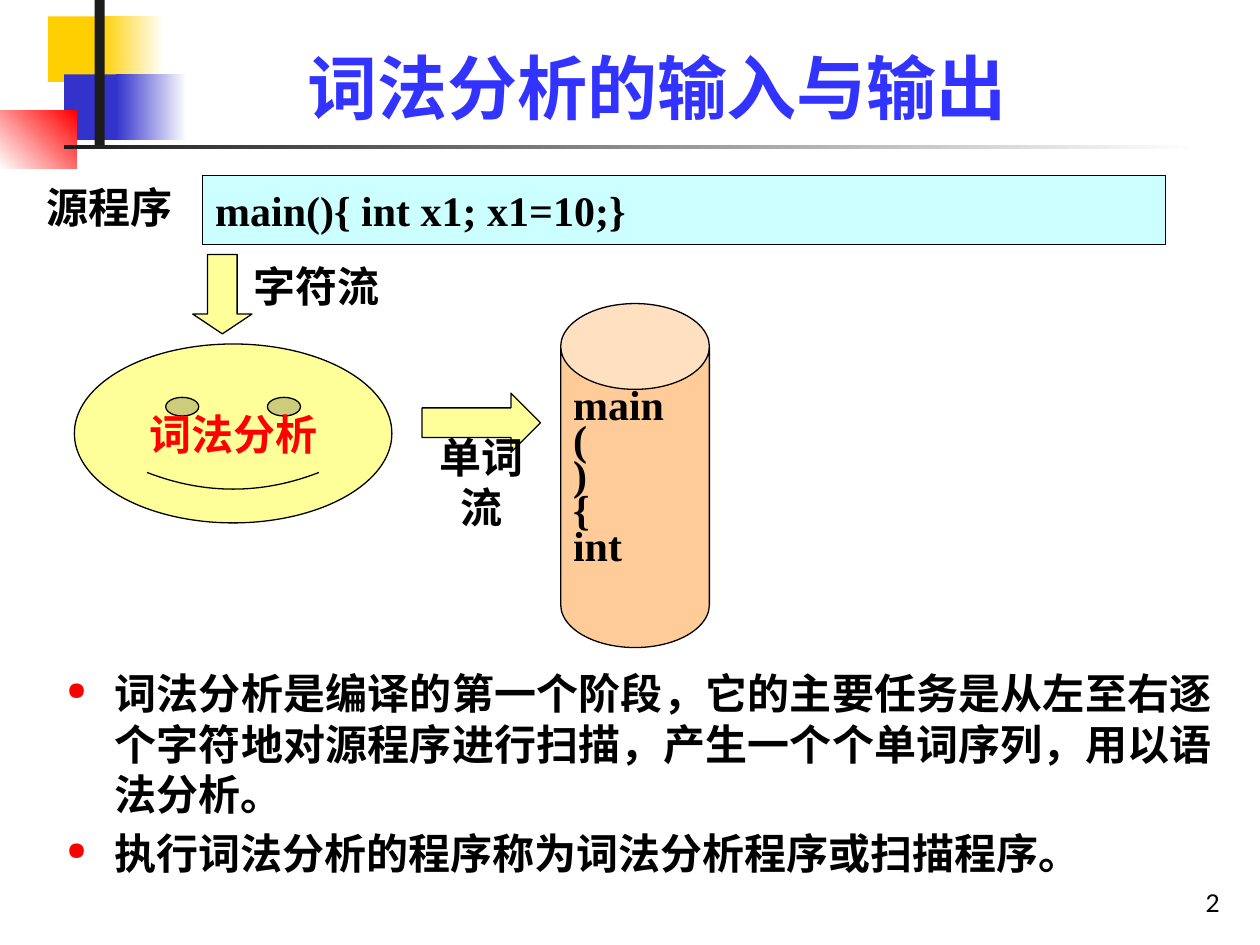
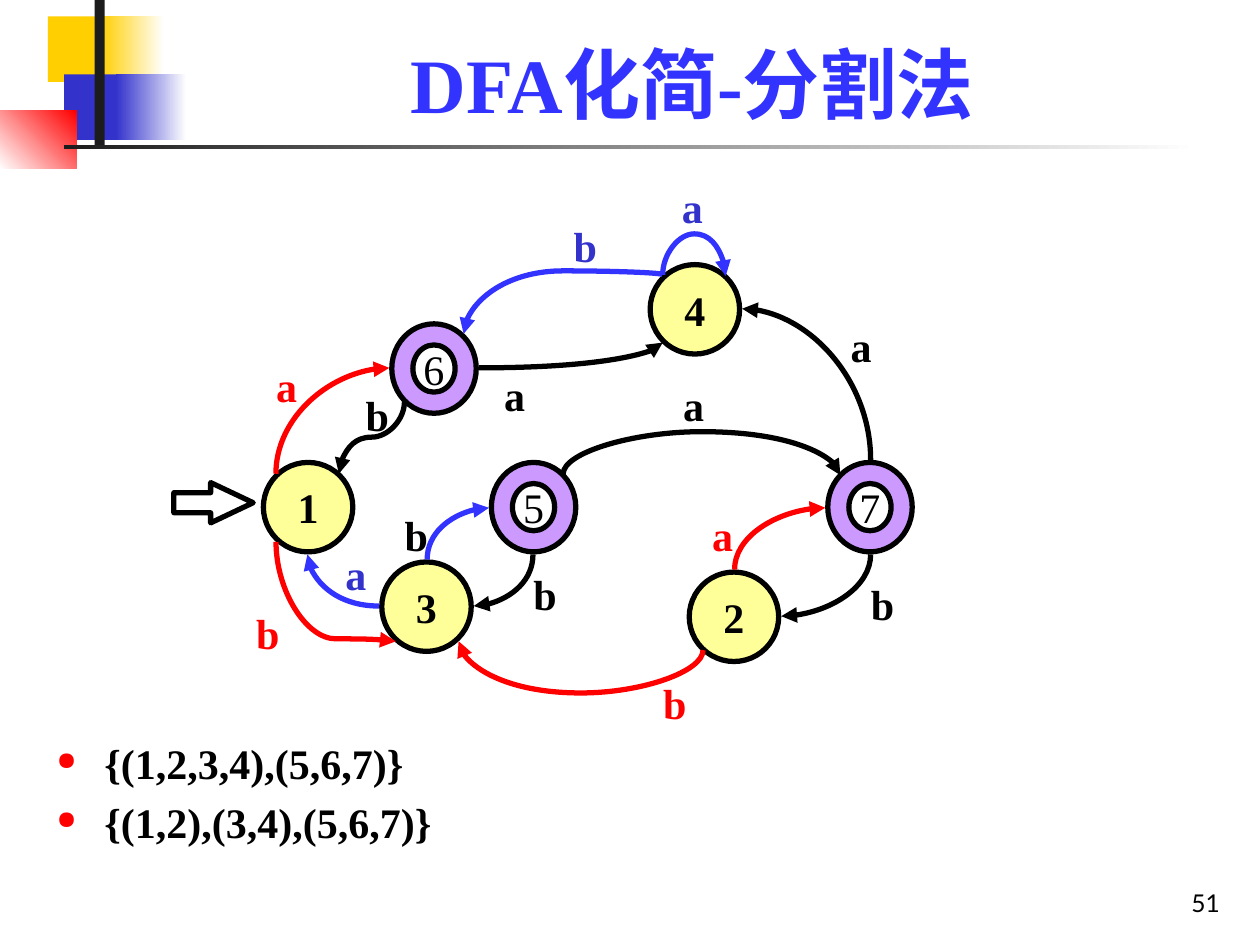
from dataclasses import dataclass, field

import lxml.etree
import pptx
import pptx.dml.color
import pptx.enum.lang
import pptx.enum.shapes
import pptx.enum.text
import pptx.oxml.ns
import pptx.slide
import pptx.util

SCALE = 9144  # EMU in one px, 100 px to the inch
KIND = pptx.enum.shapes.MSO_SHAPE
ALIGN = pptx.enum.text.PP_ALIGN
ANCHOR = pptx.enum.text.MSO_ANCHOR
CHINESE = pptx.enum.lang.MSO_LANGUAGE_ID.SIMPLIFIED_CHINESE
qn = pptx.oxml.ns.qn

BLACK, WHITE, RED = "000000", "FFFFFF", "FF0000"
GOLD, NAVY, BLUE, DARK = "FFCF01", "3333CC", "3333FF", "1C1C1C"
YELLOW, LILAC, CYAN, PEACH = "FFFF99", "CC99FF", "CCFFFF", "FFCC99"

Box = tuple[int, int, int, int]
Point = tuple[int, int]


@dataclass
class Words:
    lines: list[str]
    color: str = BLACK
    size: int = 24
    bold: bool = True
    face: str = "Times New Roman"
    align: ALIGN = ALIGN.CENTER
    anchor: ANCHOR = ANCHOR.MIDDLE
    wrap: bool = True
    lead: float | None = None
    foot: int = 5
    bullet: bool = False


@dataclass
class Item:
    """A preset shape, or a text box when kind is None."""
    box: Box
    kind: KIND | None = None
    fill: str | tuple[str, str] | None = None
    words: Words | None = None
    width: float = 0
    adjust: list[float] = field(default_factory=list)
    angle: int = 0


@dataclass
class Arc:
    """A curved arrow; via is the y of its middle leg, None for one bend."""
    start: Point
    end: Point
    color: str
    turn: int
    flip: str = ""
    via: int | None = None


def px(value: float) -> pptx.util.Emu:
    return pptx.util.Emu(round(value * SCALE))


def rgb(code: str) -> pptx.dml.color.RGBColor:
    return pptx.dml.color.RGBColor.from_string(code)


def put(target, values: dict) -> None:
    for name, value in values.items():
        setattr(target, name, value)


def add(parent, tag: str, **attrs: str):
    node = lxml.etree.SubElement(parent, qn(tag))
    for name, value in attrs.items():
        node.set(name, value)
    return node


def dot(para) -> None:
    """Give a paragraph a red hanging bullet."""
    props = para._p.get_or_add_pPr()
    props.set("marL", str(px(38)))
    props.set("indent", str(px(-38)))
    add(add(props, "a:buClr"), "a:srgbClr", val=RED)
    add(props, "a:buSzPct", val="60000")
    add(props, "a:buChar", char="●")


def write(shape, words: Words) -> None:
    frame = shape.text_frame
    put(frame, {
        "word_wrap": words.wrap, "vertical_anchor": words.anchor,
        "margin_left": px(10), "margin_right": px(10),
        "margin_top": px(5), "margin_bottom": px(words.foot),
    })
    for i, line in enumerate(words.lines):
        para = frame.add_paragraph() if i else frame.paragraphs[0]
        put(para, {"alignment": words.align, "line_spacing": words.lead})
        if words.bullet:
            dot(para)
            if i:
                para.space_before = pptx.util.Pt(5)
        run = para.add_run()
        run.text = line
        put(run.font, {
            "name": words.face, "size": pptx.util.Pt(words.size),
            "bold": words.bold, "language_id": CHINESE,
        })
        run.font.color.rgb = rgb(words.color)


def paint(shape, item: Item) -> None:
    shape.shadow.inherit = False
    if item.fill is None:
        shape.fill.background()
    elif isinstance(item.fill, str):
        shape.fill.solid()
        shape.fill.fore_color.rgb = rgb(item.fill)
    else:
        shape.fill.gradient()
        shape.fill.gradient_angle = item.angle
        for stop, code, place in zip(shape.fill.gradient_stops, item.fill, (0, 1)):
            stop.color.rgb = rgb(code)
            stop.position = place
    if item.width:
        shape.line.color.rgb = rgb(BLACK)
        shape.line.width = pptx.util.Pt(item.width)
    else:
        shape.line.fill.background()
    for i, value in enumerate(item.adjust):
        shape.adjustments[i] = value


def draw(slide: pptx.slide.Slide, items: list[Item]) -> None:
    for item in items:
        place = [px(v) for v in item.box]
        if item.kind is None:
            shape = slide.shapes.add_textbox(*place)
        else:
            shape = slide.shapes.add_shape(item.kind, *place)
            paint(shape, item)
        if item.words:
            write(shape, item.words)


def bend(slide: pptx.slide.Slide, arc: Arc) -> None:
    """Draw a curved arrow, its frame turned about its centre."""
    (x1, y1), (x2, y2) = arc.start, arc.end
    wide, high = abs(x2 - x1), abs(y2 - y1)
    if arc.turn in (90, 270):
        wide, high = high, wide
    left, top = (x1 + x2 - wide) / 2, (y1 + y2 - high) / 2
    line = slide.shapes.add_connector(
        pptx.enum.shapes.MSO_CONNECTOR.CURVE,
        px(left), px(top), px(left + wide), px(top + high))
    line.line.color.rgb = rgb(arc.color)
    line.line.width = pptx.util.Pt(3)
    props = line._element.spPr
    frame = props.find(qn("a:xfrm"))
    frame.set("rot", str(arc.turn * 60000))
    for axis in arc.flip:
        frame.set("flip" + axis, "1")
    form = props.find(qn("a:prstGeom"))
    form.set("prst", "curvedConnector2" if arc.via is None else "curvedConnector3")
    if arc.via is not None:
        ratio = round((arc.via - y1) / (y2 - y1) * 100000)
        add(form.find(qn("a:avLst")), "a:gd", name="adj1", fmla=f"val {ratio}")
    add(props.find(qn("a:ln")), "a:tailEnd", type="triangle")
    add(props, "a:effectLst")


BANDS = [
    Item((38, 13, 67, 52), KIND.RECTANGLE, GOLD),
    Item((80, 13, 50, 52), KIND.RECTANGLE, (GOLD, WHITE)),
    Item((51, 59, 64, 52), KIND.RECTANGLE, NAVY),
    Item((92, 59, 56, 52), KIND.RECTANGLE, (NAVY, WHITE)),
    Item((0, 88, 61, 46), KIND.RECTANGLE, (WHITE, RED), angle=45),
    Item((75, 0, 8, 115), KIND.RECTANGLE, DARK),
    Item((51, 115, 900, 3), KIND.RECTANGLE, (DARK, WHITE)),
]


def start(deck, title: str, size: int, wide: int, page: int) -> pptx.slide.Slide:
    """Add a slide with the shared bands, title and page number."""
    slide = deck.slides.add_slide(deck.slide_layouts[6])
    draw(slide, BANDS + [
        Item((770, 683, 208, 50), words=Words(
            [str(page)], size=14, bold=False, face="Lato",
            align=ALIGN.RIGHT, anchor=ANCHOR.BOTTOM)),
        Item((126, 23, wide, 84), words=Words(
            [title], BLUE, size, anchor=ANCHOR.BOTTOM)),
    ])
    return slide


def points(box: Box, lines: list[str], align: ALIGN) -> Item:
    return Item(box, words=Words(lines, align=align, anchor=ANCHOR.TOP, bullet=True))


def label(text: str, box: Box, color: str = BLACK) -> Item:
    return Item(box, words=Words([text], color, wrap=False))


def lexer(deck) -> None:
    slide = start(deck, "词法分析的输入与输出", 40, 791, 2)
    draw(slide, [
        points((43, 525, 929, 189), [
            "词法分析是编译的第一个阶段，它的主要任务是从左至右逐个字符地对源程序进行扫描，"
            "产生一个个单词序列，用以语法分析。",
            "执行词法分析的程序称为词法分析程序或扫描程序。",
        ], ALIGN.JUSTIFY),
        Item((161, 139, 764, 55), KIND.RECTANGLE, CYAN,
             Words(["main(){ int x1; x1=10;}"], align=ALIGN.LEFT), 0.75),
        Item((59, 273, 252, 142), KIND.SMILEY_FACE, YELLOW,
             Words(["词法分析"], RED, wrap=False), 0.75, [0.047]),
        Item((335, 312, 94, 47), KIND.RIGHT_ARROW, YELLOW, None, 0.75, [0.5, 0.5]),
        Item((445, 241, 118, 273), KIND.CAN, PEACH,
             Words(["main", "(", ")", "{", "int"], align=ALIGN.LEFT,
                   lead=0.7, foot=32), 0.75, [0.577]),
        label("源程序", (20, 139, 134, 50)),
        label("字符流", (177, 202, 149, 50)),
        label("单词流", (327, 351, 110, 63)),
        Item((153, 202, 47, 63), KIND.DOWN_ARROW, YELLOW, None, 0.75, [0.5, 0.334]),
    ])


STATES = {"1": (209, 367), "2": (547, 454), "3": (303, 446), "4": (516, 210)}
FINALS = {"5": (390, 367), "6": (311, 257), "7": (657, 367)}

ARCS = [
    Arc((219, 376), (309, 292), RED, 270),
    Arc((321, 319), (269, 376), BLACK, 90, via=347),
    Arc((219, 430), (314, 509), RED, 270, "H", 507),
    Arc((301, 481), (244, 440), BLUE, 180),
    Arc((339, 444), (388, 403), BLUE, 270),
    Arc((423, 440), (376, 481), BLACK, 90),
    Arc((558, 516), (364, 509), RED, 270, "V", 550),
    Arc((447, 376), (667, 377), BLACK, 90, "V", 342),
    Arc((583, 452), (655, 403), RED, 270),
    Arc((691, 440), (620, 489), BLACK, 90),
    Arc((380, 292), (526, 272), BLACK, 0, "V"),
    Arc((526, 218), (368, 265), BLUE, 270, "HV", 215),
    Arc((526, 218), (576, 219), BLUE, 90, "V", 185),
    Arc((691, 365), (589, 245), BLACK, 90, "H"),
]

MARKS = [
    ("b", 280, 304, BLACK), ("a", 209, 281, RED), ("a", 264, 430, NAVY),
    ("b", 193, 477, RED), ("b", 311, 399, BLACK), ("b", 413, 446, BLACK),
    ("b", 516, 533, RED), ("a", 532, 296, BLACK), ("a", 555, 399, RED),
    ("b", 681, 454, BLACK), ("a", 390, 288, BLACK), ("b", 445, 170, NAVY),
    ("a", 531, 139, NAVY), ("a", 665, 249, BLACK),
]


def graph(deck) -> None:
    slide = start(deck, "DFA化简-分割法", 44, 847, 51)
    draw(slide, [Item((138, 383, 63, 32), KIND.RIGHT_ARROW, width=3,
                      adjust=[0.498, 1.055])])
    draw(slide, [Item((*spot, 71, 71), KIND.OVAL, YELLOW,
                      Words([name], wrap=False), 3)
                 for name, spot in STATES.items()])
    draw(slide, [Item((*spot, 67, 71), KIND.DONUT, LILAC,
                      Words([name], bold=False, wrap=False), 3, [0.25])
                 for name, spot in FINALS.items()])
    for arc in ARCS:
        bend(slide, arc)
    draw(slide, [label(text, (x, y, 37 if text == "a" else 39, 50), color)
                 for text, x, y, color in MARKS])
    draw(slide, [points((35, 580, 921, 118),
                        ["{(1,2,3,4),(5,6,7)}", "{(1,2),(3,4),(5,6,7)}"],
                        ALIGN.LEFT)])


def main() -> None:
    deck = pptx.Presentation()
    put(deck, {"slide_width": px(1000), "slide_height": px(750)})
    lexer(deck)
    graph(deck)
    deck.save("out.pptx")


if __name__ == "__main__":
    main()
